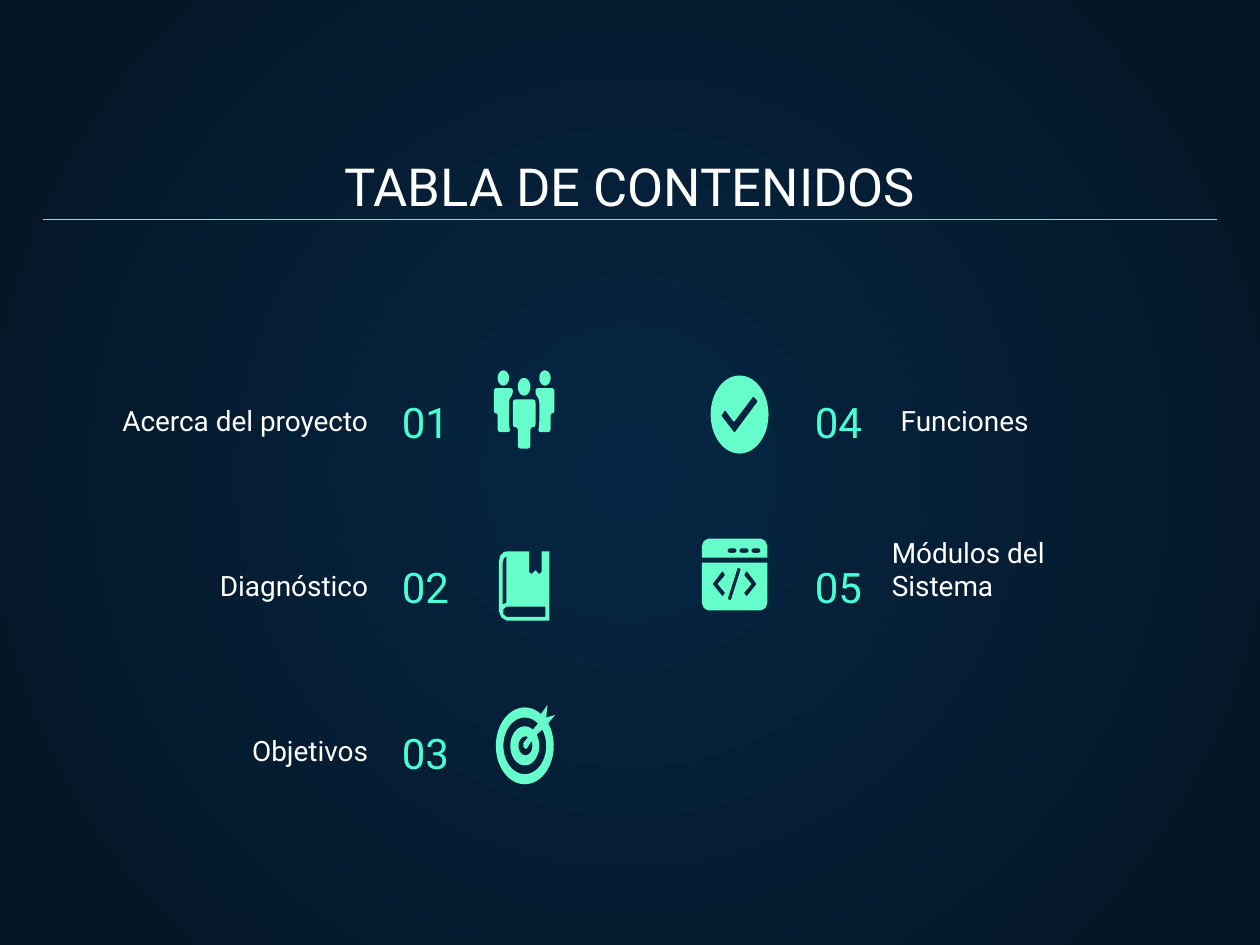
import math
from dataclasses import dataclass

from lxml import etree
from pptx import Presentation, util as u
from pptx.dml.color import RGBColor
from pptx.enum import shapes, text
from pptx.oxml.ns import qn


@dataclass(frozen=True)
class Theme:
    font: str = "Roboto"
    white: str = "FFFFFF"
    accent: str = "48FFD5"
    icon: str = "66FFCC"
    center: str = "052643"
    edge: str = "041523"
    title_size: int = 30
    number_size: int = 24
    label_size: int = 16


THEME = Theme()
LEFT, CENTER, RIGHT = text.PP_ALIGN.LEFT, text.PP_ALIGN.CENTER, text.PP_ALIGN.RIGHT
ROW_PITCH = 1.31
NUMBER_TOP, NUMBER_SIZE = 2.77, (1.29, 0.88)
LABEL_TOP, LABEL_SIZE = 3.28, (2.27, 0.29)


# Icon outlines: hundredths of an inch, measured from the icon's centre.
def arc(cx, cy, rx, ry, start=0, end=360, steps=40):
    angles = [math.radians(start + (end - start) * i / steps) for i in range(steps + 1)]
    return [(cx + rx * math.cos(a), cy + ry * math.sin(a)) for a in angles]


def rounded(points, radius):
    """Replace each corner by a short quadratic curve."""
    result = []
    for i, corner in enumerate(points):
        ends = []
        for other in (points[i - 1], points[(i + 1) % len(points)]):
            share = min(0.5, radius / math.dist(corner, other))
            ends.append([c + (o - c) * share for c, o in zip(corner, other)])
        for t in (0, 0.25, 0.5, 0.75, 1):
            result.append(tuple((1 - t) ** 2 * a + 2 * t * (1 - t) * c + t * t * b
                                for a, c, b in zip(ends[0], corner, ends[1])))
    return result


def mirror(points):
    return [(-x, y) for x, y in points]


def pill(cx, cy, rx, ry):
    return rounded([(cx - rx, cy - ry), (cx + rx, cy - ry),
                    (cx + rx, cy + ry), (cx - rx, cy + ry)], ry)


def panel(flat, curved):
    """Window half with square corners at flat and soft ones at curved."""
    step = math.copysign(1, flat - curved)
    half = [(-26, flat), (-26, curved + 6 * step), (-24.5, curved + 2 * step), (-21, curved)]
    return half + mirror(half)[::-1]


# Each icon is a list of parts; each part is a list of contours (inner ones are holes).
def people():
    body = rounded([(-24, -17), (-24, 3), (-21, 3), (-21, 18), (-11, 18),
                    (-12, 12), (-12, -8), (-9, -12), (-9, -17)], 2.5)
    half = [(-9, -8), (-9, 14), (-5, 14), (-5, 31)]
    front = rounded(half + mirror(half)[::-1], 2.5)
    head = arc(-16.5, -25, 4.5, 6)
    return [[contour] for contour in
            (head, body, mirror(head), mirror(body), front, arc(0, -18, 5, 7))]


def book():
    cover = [(-20, -19), (-19, -24), (-16, -27), (-12, -27.5), (4, -27.5), (4, -11),
             (6, -9.5), (9, -12.5), (12, -9.5), (14, -11), (14, -27.5), (20, -27.5),
             (20, 27.5), (-14, 27.5), (-18, 25), (-20, 20)]
    spine = [(-14, -23.5), (-14, 13.5), (-17, 14.5), (-17, -18.5), (-16, -22)]
    pages = [(17, 16.5), (17, 24.5), (-14, 24.5), (-16.5, 22.5), (-16.5, 18.5), (-14, 16.5)]
    return [[cover, spine, pages]]


def target():
    outer = arc(-0.5, 1, 23, 30.5, -36, 304) + [(17.5, -31.5), (16.5, -21.5), (23.5, -23.5)]
    ring = arc(-0.5, 1, 17, 22.5, -35, 308) + arc(-0.5, 1, 11.5, 15.5, 304, -35)
    bullseye = arc(0, 1, 5.5, 7.5, -30, 292) + [(-1.5, -1.5), (-1.5, 2), (0.5, 3.5), (1.5, 2.5)]
    return [[outer, ring, bullseye]]


def check():
    tick = [(11, -14.5), (14.5, -10.5), (-4, 14.5), (-14.5, 1), (-11.5, -3.5), (-4.5, 6)]
    return [[arc(0, 0, 23, 31), rounded(tick, 1)]]


def code_window():
    dots = [pill(x, -19, 3.5, 1.75) for x in (-2, 7.5, 17)]
    bracket = rounded([(-9.5, -3), (-7.5, 0.5), (-13.5, 7.5), (-7.5, 14.5),
                       (-9.5, 17.5), (-17.5, 7.5)], 1)
    slash = rounded([(2.5, -5.5), (5, -4.5), (-3, 20.5), (-5.5, 19.5)], 1)
    return [[panel(-13.5, -28.5)] + dots,
            [panel(-9.5, 28.5), bracket, mirror(bracket), slash]]


def color(value):
    return RGBColor.from_string(value)


def assign(target_object, **values):
    for name, value in values.items():
        setattr(target_object, name, value)


def write(shape, words, size, fill, align, right_margin=0.1):
    frame = shape.text_frame
    assign(frame, word_wrap=True, auto_size=text.MSO_AUTO_SIZE.NONE,
           vertical_anchor=text.MSO_ANCHOR.BOTTOM, margin_left=u.Inches(0.1),
           margin_right=u.Inches(right_margin), margin_top=u.Inches(0.1),
           margin_bottom=u.Inches(0.1))
    paragraph = frame.paragraphs[0]
    paragraph.alignment = align
    run = paragraph.add_run()
    run.text = words
    assign(run.font, name=THEME.font, size=u.Pt(size))
    run.font.color.rgb = color(fill)


def add_text(slide, left, top, size, *style):
    box = slide.shapes.add_textbox(*map(u.Inches, (left, top, *size)))
    write(box, *style)


def add_icon(slide, parts, x, y):
    holder = slide.shapes if len(parts) == 1 else slide.shapes.add_group_shape().shapes
    for contours in parts:
        placed = [[(u.Inches(x + px / 100), u.Inches(y + py / 100)) for px, py in contour]
                  for contour in contours]
        builder = holder.build_freeform(*placed[0][0], scale=1.0)
        builder.add_line_segments(placed[0][1:], close=True)
        for hole in placed[1:]:
            builder.move_to(*hole[0])
            builder.add_line_segments(hole[1:], close=True)
        shape = builder.convert_to_shape()
        shape.shadow.inherit = False
        shape.fill.solid()
        shape.fill.fore_color.rgb = color(THEME.icon)
        shape.line.fill.background()


def set_background(slide):
    fill = slide.background.fill
    fill.gradient()
    for stop, value, position in zip(fill.gradient_stops, (THEME.center, THEME.edge), (0, 1)):
        stop.color.rgb = color(value)
        stop.position = position
    gradient = slide.element.find(".//" + qn("a:gradFill"))
    gradient.remove(gradient.find(qn("a:lin")))
    circle = etree.SubElement(gradient, qn("a:path"), path="circle")
    etree.SubElement(circle, qn("a:fillToRect"), dict.fromkeys("ltrb", "50000"))


def add_heading(slide, words):
    title = slide.shapes.title
    assign(title, left=u.Inches(0.34), top=u.Inches(0.94),
           width=u.Inches(9.32), height=u.Inches(0.88))
    write(title, words, THEME.title_size, THEME.white, CENTER)
    rule = slide.shapes.add_connector(
        shapes.MSO_CONNECTOR.STRAIGHT, *map(u.Inches, (0.34, 1.74, 9.66, 1.74)))
    rule.line.color.rgb = color(THEME.accent)
    rule.line.width = u.Pt(0.75)
    etree.SubElement(rule.element.spPr, qn("a:effectLst"))


def add_entry(slide, row, number, label, number_left, label_left, aligns, right_margin=0.1):
    drop = row * ROW_PITCH
    add_text(slide, number_left, NUMBER_TOP + drop, NUMBER_SIZE,
             number, THEME.number_size, THEME.accent, aligns[0])
    add_text(slide, label_left, LABEL_TOP + drop, LABEL_SIZE,
             label, THEME.label_size, THEME.white, aligns[1], right_margin)


def main():
    presentation = Presentation()
    assign(presentation, slide_width=u.Inches(10), slide_height=u.Inches(7.5))
    slide = presentation.slides.add_slide(presentation.slide_layouts[5])
    set_background(slide)
    add_heading(slide, "TABLA DE CONTENIDOS")
    for row, label in enumerate(("Acerca del proyecto", "Diagnóstico", "Objetivos")):
        add_entry(slide, row, f"{row + 1:02}", label, 3.09, 0.75, (LEFT, RIGHT))
    add_entry(slide, 0, "04", "Funciones", 5.65, 7.05, (RIGHT, LEFT))
    add_entry(slide, 1, "05", "Módulos del Sistema", 5.65, 6.98, (RIGHT, LEFT), 0.3)
    for icon, x, y in ((people, 4.16, 3.25), (book, 4.16, 4.65), (target, 4.17, 5.91),
                       (check, 5.87, 3.29), (code_window, 5.83, 4.56)):
        add_icon(slide, icon(), x, y)
    presentation.save("out.pptx")


if __name__ == "__main__":
    main()
